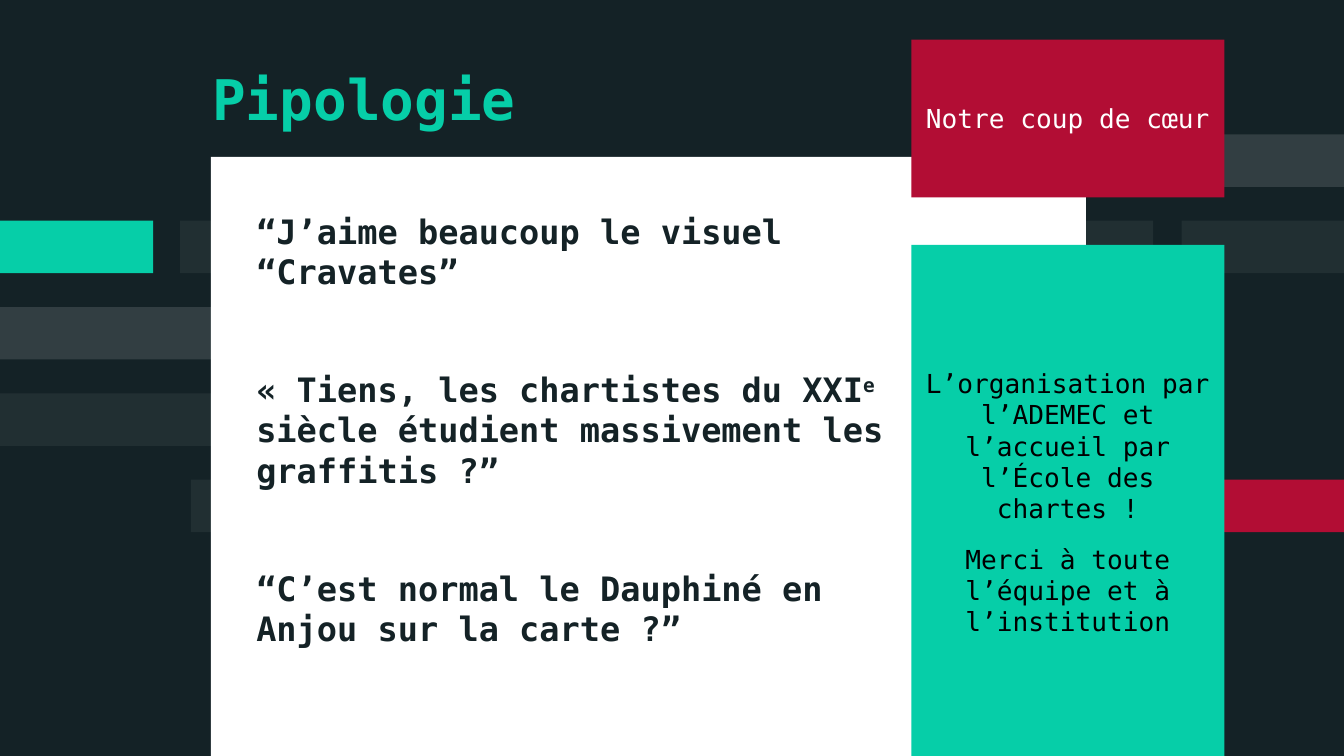
from lxml import etree
from pptx import Presentation
from pptx.dml.color import RGBColor
from pptx.enum.shapes import MSO_SHAPE
from pptx.enum.text import MSO_ANCHOR, PP_ALIGN
from pptx.oxml.ns import qn
from pptx.util import Pt

RECT = MSO_SHAPE.RECTANGLE
LEFT, CENTER = PP_ALIGN.LEFT, PP_ALIGN.CENTER
TOP, MIDDLE = MSO_ANCHOR.TOP, MSO_ANCHOR.MIDDLE
FONT = "DejaVu Sans Mono"
COLORS = {
    "night": "142226",
    "white": "FFFFFF",
    "black": "000000",
    "mint": "06CEA8",
    "red": "B20D34",
}
BAR_TOP, BAR_STEP, BAR_HIGH = 72, 46.25, 28.1
BARS = [
    (0, 2, 139, "white", 13),
    (96.5, 1, 87, "white", 6),
    (0, 3, 177, "white", 6),
    (0, 1, 82, "mint", 100),
    (102.2, 4, 87, "white", 6),
    (638, 4, 82, "red", 100),
    (633, 1, 87, "white", 6),
    (431.3, 1, 186.5, "white", 6),
    (543, 0, 177, "white", 13),
]
QUOTES = [
    "“J’aime beaucoup le visuel “Cravates”",
    "« Tiens, les chartistes du XXI^e^ siècle étudient massivement les graffitis ?”",
    "“C’est normal le Dauphiné en Anjou sur la carte ?”",
]
THANKS = [
    "L’organisation par l’ADEMEC et l’accueil par l’École des chartes !",
    "Merci à toute l’équipe et à l’institution",
]


def color(name):
    """Return the named colour."""
    return RGBColor.from_string(COLORS[name])


def block(slide, left, top, width, height, fill, alpha=100):
    """Add a plain rectangle, see-through if alpha is below 100."""
    shape = slide.shapes.add_shape(RECT, Pt(left), Pt(top), Pt(width), Pt(height))
    shape.shadow.inherit = False
    shape.line.fill.background()
    shape.fill.solid()
    shape.fill.fore_color.rgb = color(fill)
    if alpha < 100:
        tint = shape.element.spPr.find(".//" + qn("a:srgbClr"))
        etree.SubElement(tint, qn("a:alpha")).set("val", str(alpha * 1000))
    return shape


def box(slide, left, top, width, height):
    """Add an empty text box."""
    return slide.shapes.add_textbox(Pt(left), Pt(top), Pt(width), Pt(height))


def write(shape, lines, *, size, ink, bold=False, align=LEFT, anchor=TOP, gap=0, inset=7.2):
    """Fill a shape with paragraphs; text between carets is superscript."""
    frame = shape.text_frame
    frame.word_wrap = True
    frame.vertical_anchor = anchor
    frame.margin_left = frame.margin_right = frame.margin_bottom = Pt(7.2)
    frame.margin_top = Pt(inset)
    for i, line in enumerate(lines):
        para = frame.add_paragraph() if i else frame.paragraphs[0]
        para.alignment = align
        para.space_before = Pt(gap if i else 0)
        for j, part in enumerate(line.split("^")):
            run = para.add_run()
            run.text = part
            run.font.name = FONT
            run.font.size = Pt(size)
            run.font.bold = bold
            run.font.color.rgb = color(ink)
            if j % 2:
                run._r.get_or_add_rPr().set("baseline", "30000")


def main():
    """Build the slide and save it."""
    deck = Presentation()
    deck.slide_width, deck.slide_height = Pt(720), Pt(405)
    slide = deck.slides.add_slide(deck.slide_layouts[6])
    slide.background.fill.solid()
    slide.background.fill.fore_color.rgb = color("night")

    for left, row, width, fill, alpha in BARS:
        block(slide, left, BAR_TOP + row * BAR_STEP, width, BAR_HIGH, fill, alpha)

    block(slide, 113, 84, 468.8, 325.4, "white")
    quotes = box(slide, 130.2, 105.8, 352.1, 293.8)
    write(quotes, QUOTES, size=18, ink="night", bold=True, gap=41.5)
    title = box(slide, 106.6, 27.4, 493.2, 52.6)
    write(title, ["Pipologie"], size=30, ink="mint", bold=True)

    thanks = block(slide, 488.2, 131.2, 167.8, 281.5, "mint")
    write(thanks, THANKS, size=14, ink="black", align=CENTER, gap=10, inset=65.6)
    heart = block(slide, 488.2, 21.2, 167.8, 84.6, "red")
    write(heart, ["Notre coup de cœur"], size=14, ink="white", align=CENTER, anchor=MIDDLE)

    deck.save("out.pptx")


if __name__ == "__main__":
    main()
